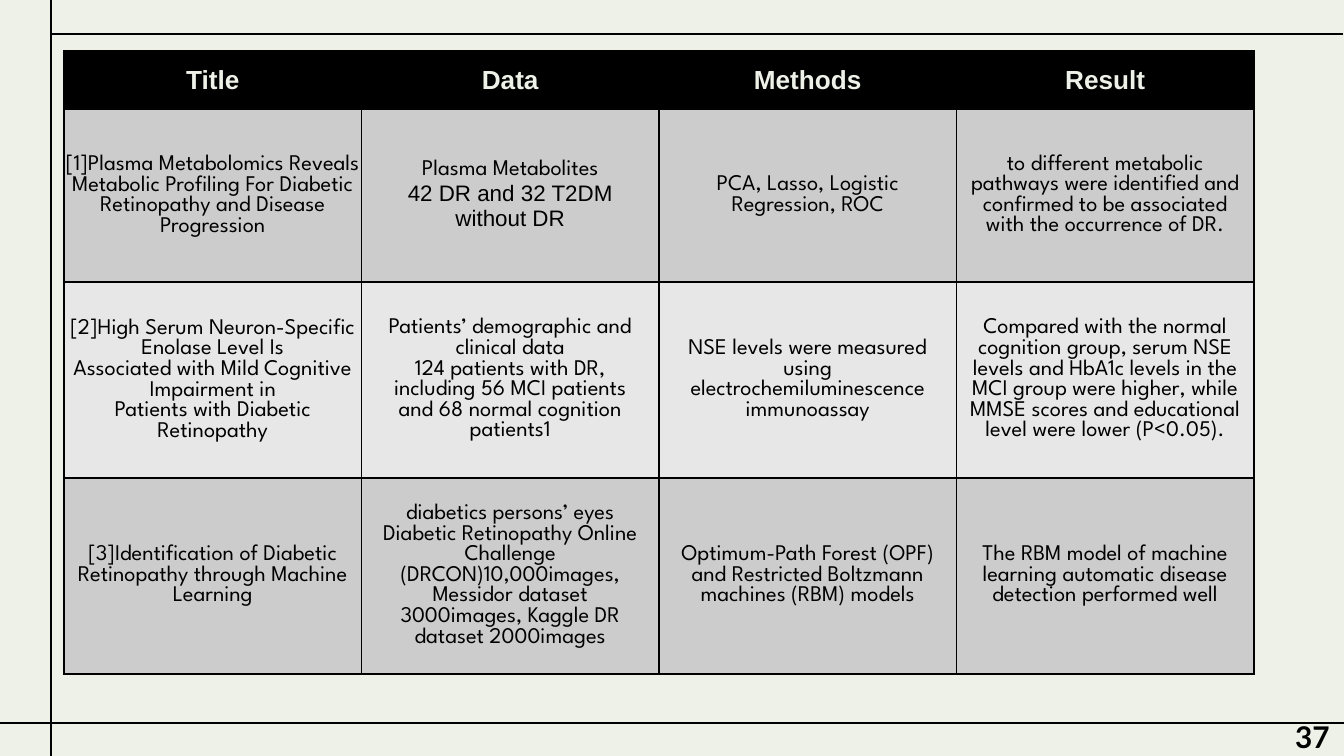
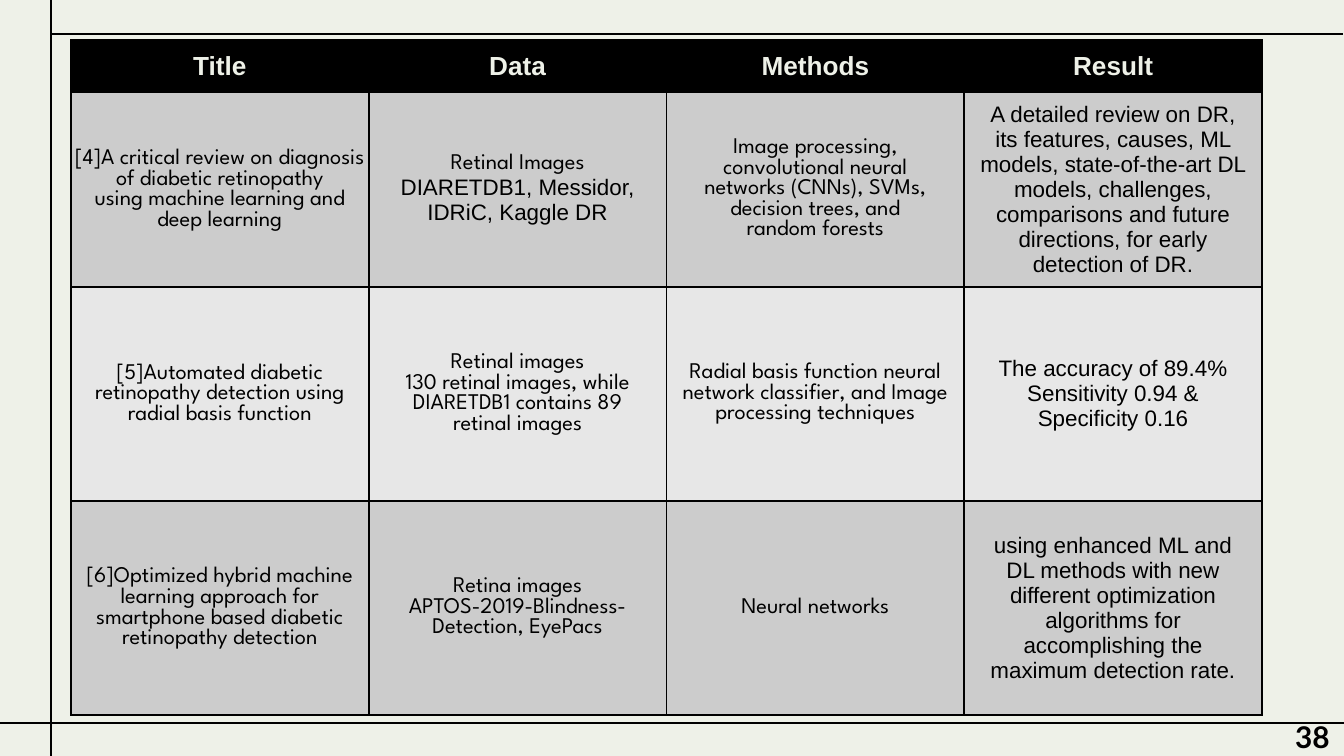
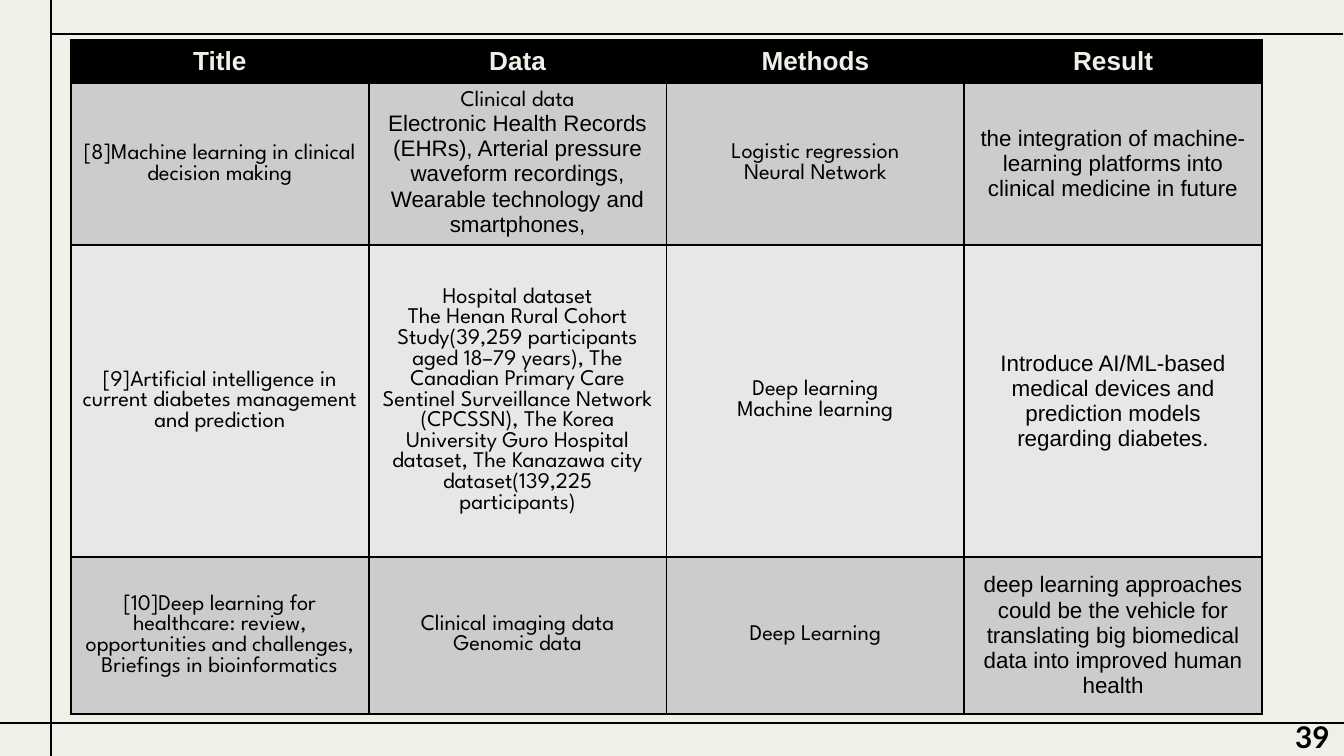
from copy import deepcopy
from lxml.etree import SubElement
from pptx import Presentation
from pptx.dml.color import RGBColor
from pptx.enum.shapes import MSO_CONNECTOR
from pptx.enum.text import MSO_ANCHOR, PP_ALIGN
from pptx.oxml.ns import qn
from pptx.util import Pt

PX = 914400 / 134.4
BLACK = RGBColor(0x00, 0x00, 0x00)
CREAM = RGBColor(0xEE, 0xF1, 0xE8)
DARK = RGBColor(0xCC, 0xCC, 0xCC)
LIGHT = RGBColor(0xE7, 0xE7, 0xE7)

HEAD = dict(size=Pt(14), name="Arial", bold=True)
SPARTAN = dict(size=Pt(12), name="League Spartan", bold=False)
SANS = dict(size=Pt(12), name="Arial", bold=False)
PAGE = dict(size=Pt(16), name="Lato", bold=True)

TIGHT = dict(margin_left=1, margin_top=1, margin_right=1, margin_bottom=0)
RULES = [(51, 34, 1343, 34), (51, -4, 51, 756), (-1, 723, 1345, 723)]
NUMBER = (1282, 712, 62, 50)
FIRST = 37


def px(*nums):
    return [round(n * PX) for n in nums]


def style(font, look, color):
    for key, value in look.items():
        setattr(font, key, value)
    font.color.rgb = color


def head(text):
    return [(HEAD, text)]


def spart(*texts):
    return [(SPARTAN, text) for text in texts]


def sans(text):
    return [(SANS, text)]


TITLES = [head(text) for text in ("Title", "Data", "Methods", "Result")]

PAGES = [
    dict(
        box=(64, 51, 1190), heights=(58, 173, 196, 196), loose={3},
        rows=[
            [
                spart("[1]Plasma Metabolomics Reveals Metabolic Profiling For Diabetic "
                      "Retinopathy and Disease Progression"),
                spart("Plasma Metabolites") + sans("42 DR and 32 T2DM without DR"),
                spart("PCA, Lasso, Logistic Regression, ROC"),
                spart("to different metabolic pathways were identified and confirmed "
                      "to be associated with the occurrence of DR."),
            ],
            [
                spart("[2]High Serum Neuron-Specific Enolase Level Is\n"
                      "Associated with Mild Cognitive Impairment in\n"
                      "Patients with Diabetic Retinopathy"),
                spart("Patients’ demographic and clinical data",
                      "124 patients with DR, including 56 MCI patients and 68 normal "
                      "cognition patients1"),
                spart("NSE levels were measured using electrochemiluminescence immunoassay"),
                spart("Compared with the normal cognition group, serum NSE levels and "
                      "HbA1c levels in the MCI group were higher, while MMSE scores and "
                      "educational level were lower (P<0.05)."),
            ],
            [
                spart("[3]Identification of Diabetic Retinopathy through Machine Learning"),
                spart("diabetics persons’ eyes",
                      "Diabetic Retinopathy Online Challenge (DRCON)10,000images, "
                      "Messidor dataset 3000images, Kaggle DR dataset 2000images"),
                spart("Optimum-Path Forest (OPF) and Restricted Boltzmann machines "
                      "(RBM) models"),
                spart("The RBM model of machine learning automatic disease detection "
                      "performed well"),
            ],
        ],
    ),
    dict(
        box=(71, 40, 1191), heights=(52, 195, 214, 214), loose=set(),
        rows=[
            [
                spart("[4]A critical review on diagnosis of diabetic retinopathy",
                      "using machine learning and deep learning"),
                spart("Retinal Images") + sans("DIARETDB1, Messidor, IDRiC, Kaggle DR"),
                spart("Image processing, convolutional neural networks (CNNs), SVMs,",
                      "decision trees, and", "random forests"),
                sans("A detailed review on DR, its features, causes, ML models, "
                     "state-of-the-art DL models, challenges, comparisons and future "
                     "directions, for early detection of DR."),
            ],
            [
                spart("[5]Automated diabetic retinopathy detection using radial basis "
                      "function"),
                spart("Retinal images",
                      "130 retinal images, while DIARETDB1 contains 89 retinal images"),
                spart("Radial basis function neural network classifier, and Image "
                      "processing techniques"),
                sans("The accuracy of 89.4% Sensitivity 0.94 & Specificity 0.16"),
            ],
            [
                spart("[6]Optimized hybrid machine learning approach for smartphone "
                      "based diabetic retinopathy detection"),
                spart("Retina images", "APTOS-2019-Blindness-Detection, EyePacs"),
                spart("Neural networks"),
                sans("using enhanced ML and DL methods with new different optimization "
                     "algorithms for accomplishing the maximum detection rate."),
            ],
        ],
    ),
    dict(
        box=(71, 40, 1191), heights=(42, 162, 312, 157), loose=set(),
        rows=[
            [
                spart("[8]Machine learning in clinical decision making"),
                spart("Clinical data")
                + sans("Electronic Health Records (EHRs), Arterial pressure waveform "
                       "recordings, Wearable technology and smartphones,"),
                spart("Logistic regression", "Neural Network"),
                sans("the integration of machine-learning platforms into clinical "
                     "medicine in future"),
            ],
            [
                spart("[9]Artificial intelligence in current diabetes management and "
                      "prediction"),
                spart("Hospital dataset",
                      "The Henan Rural Cohort Study(39,259 participants aged 18–79 "
                      "years), The Canadian Primary Care Sentinel Surveillance Network "
                      "(CPCSSN), The Korea University Guro Hospital dataset, The "
                      "Kanazawa city dataset(139,225 participants)"),
                spart("Deep learning", "Machine learning"),
                sans("Introduce AI/ML-based medical devices and prediction models "
                     "regarding diabetes."),
            ],
            [
                spart("[10]Deep learning for healthcare: review, opportunities and "
                      "challenges, Briefings in bioinformatics"),
                spart("Clinical imaging data", "Genomic data"),
                spart("Deep Learning"),
                sans("deep learning approaches could be the vehicle for translating big "
                     "biomedical data into improved human health"),
            ],
        ],
    ),
]


def frame(deck, slide):
    master = deck.slide_master
    fill = master.background.fill
    fill.solid()
    fill.fore_color.rgb = CREAM
    for ends in RULES:
        rule = slide.shapes.add_connector(MSO_CONNECTOR.STRAIGHT, *px(*ends))
        rule.line.color.rgb = BLACK
        rule.line.width = Pt(0.75)
        SubElement(rule._element.spPr, qn("a:effectLst"))
        master.shapes.element.append(rule._element)


def edge(cell):
    props = cell._tc.get_or_add_tcPr()
    for side in "LRTB":
        line = SubElement(props, qn(f"a:ln{side}"), w=str(Pt(1)))
        paint = SubElement(line, qn("a:solidFill"))
        SubElement(paint, qn("a:srgbClr"), val=str(BLACK))


def write(cell, parts, color):
    body = cell.text_frame
    for i, (look, text) in enumerate(parts):
        para = body.add_paragraph() if i else body.paragraphs[0]
        para.text = text
        para.alignment = PP_ALIGN.CENTER
        for run in para.runs:
            style(run.font, look, color)
        for gap in para._p.findall(qn("a:br")):
            gap.insert(0, deepcopy(para.runs[0]._r.rPr))


def grid(slide, box, heights, rows, loose):
    left, top, width = box
    rows = [TITLES] + rows
    count = len(TITLES)
    place = px(left, top, width, sum(heights))
    table = slide.shapes.add_table(len(rows), count, *place).table
    table.horz_banding = False
    for col in table.columns:
        col.width = px(width / count)[0]
    for r, (height, row) in enumerate(zip(heights, rows)):
        table.rows[r].height = px(height)[0]
        back = (DARK if r % 2 else LIGHT) if r else BLACK
        for c, parts in enumerate(row):
            cell = table.cell(r, c)
            cell.vertical_anchor = MSO_ANCHOR.MIDDLE
            if r and c == 0 and r not in loose:
                for key, value in TIGHT.items():
                    setattr(cell, key, px(value)[0])
            edge(cell)
            cell.fill.solid()
            cell.fill.fore_color.rgb = back
            write(cell, parts, BLACK if r else CREAM)


def number(slide, box, value):
    body = slide.shapes.add_textbox(*px(*box)).text_frame
    body.word_wrap = False
    run = body.paragraphs[0].add_run()
    run.text = str(value)
    style(run.font, PAGE, BLACK)


def main():
    deck = Presentation()
    deck.slide_width, deck.slide_height = px(1344, 756)
    for i, page in enumerate(PAGES):
        slide = deck.slides.add_slide(deck.slide_layouts[6])
        if i == 0:
            frame(deck, slide)
        grid(slide, **page)
        number(slide, NUMBER, FIRST + i)
    deck.save("out.pptx")


if __name__ == "__main__":
    main()
